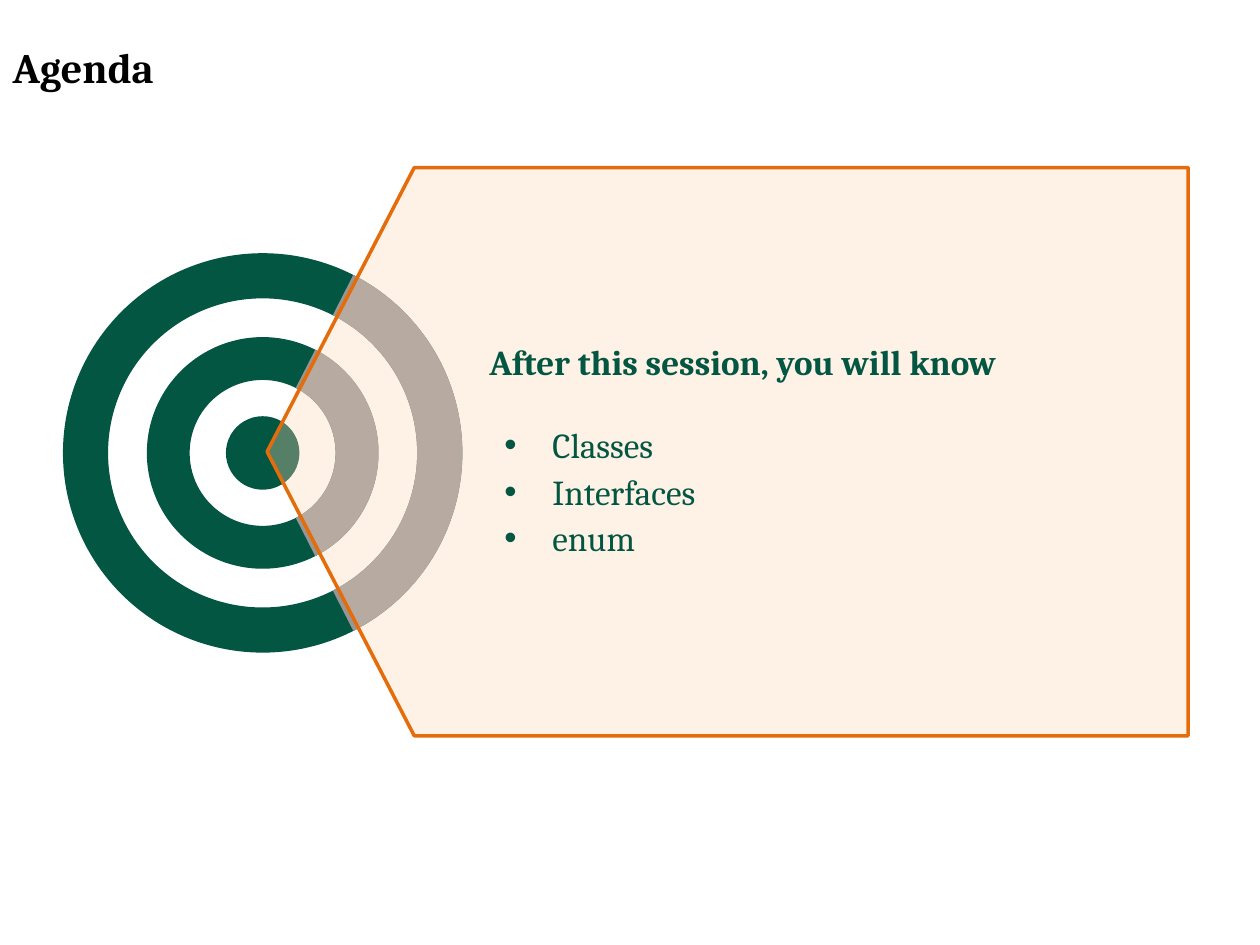
from lxml.etree import SubElement
from pptx import Presentation
from pptx.dml.color import RGBColor
from pptx.enum.shapes import MSO_SHAPE
from pptx.enum.text import MSO_ANCHOR, PP_ALIGN
from pptx.oxml.ns import qn
from pptx.util import Inches, Pt

COLORS = {"green": "035642", "gray": "969696", "peach": "FCD5B5",
          "orange": "E46C0A", "black": "000000"}
FONT = "Cambria"
WIDTH, HEIGHT = 10, 7.5
SECTOR = 63


def color(name):
    return RGBColor.from_string(COLORS[name])


def format_runs(p, size, name, bold):
    for r in p.runs:
        r.font.name, r.font.size, r.font.bold = FONT, Pt(size), bold
        r.font.color.rgb = color(name)


def add_filled(s, kind, box, fill, adjustments=()):
    sp = s.shapes.add_shape(kind, *map(Inches, box))
    sp.shadow.inherit = False
    sp.fill.solid()
    sp.fill.fore_color.rgb = color(fill)
    sp.line.fill.background()
    for i, value in enumerate(adjustments):
        sp.adjustments[i] = value
    return sp


def add_title(s, text, box):
    sp = s.shapes.title
    sp.left, sp.top, sp.width, sp.height = map(Inches, box)
    tf = sp.text_frame
    tf.text = text
    tf.vertical_anchor = MSO_ANCHOR.MIDDLE
    p = tf.paragraphs[0]
    p.alignment = PP_ALIGN.LEFT
    format_runs(p, 24, "black", True)


def add_target(s, box):
    left, top, size = box

    def centered(share):
        d = size * share
        return left + (size - d) / 2, top + (size - d) / 2, d, d

    add_filled(s, MSO_SHAPE.OVAL, centered(0.184), "green")
    for share, band in ((0.58, 0.185), (1, 0.113)):
        add_filled(s, MSO_SHAPE.DONUT, centered(share), "green", [band])
        add_filled(s, MSO_SHAPE.BLOCK_ARC, centered(share), "gray",
                   [(360 - SECTOR) * 0.6, SECTOR * 0.6, band])


def add_bullet(p):
    pPr = p._p.get_or_add_pPr()
    pPr.set("marL", str(Inches(0.5)))
    pPr.set("indent", str(Inches(-0.38)))
    SubElement(pPr, qn("a:buFont"), typeface="Arial")
    SubElement(pPr, qn("a:buChar"), char="•")


def add_panel(s, box, heading, items):
    sp = add_filled(s, MSO_SHAPE.PENTAGON, box, "peach", [0.259])
    sp._element.spPr.find(qn("a:xfrm")).set("flipH", "1")
    fill = sp._element.spPr.find(qn("a:solidFill"))
    SubElement(fill[0], qn("a:alpha"), val="33000")
    sp.line.color.rgb = color("orange")
    sp.line.width = Pt(2)
    tf = sp.text_frame
    tf.word_wrap = True
    tf.vertical_anchor = MSO_ANCHOR.MIDDLE
    tf.margin_left, tf.margin_right = Inches(1.18), Inches(0.08)
    tf.margin_top = tf.margin_bottom = 0
    tf.text = "\n".join([heading, *items])
    for i, p in enumerate(tf.paragraphs):
        p.alignment = PP_ALIGN.LEFT
        p.line_spacing = 1.1 if i else 0.9
        p.space_after = Pt(0 if i else 21)
        if i:
            add_bullet(p)
        format_runs(p, 20, "green", i == 0)


prs = Presentation()
prs.slide_width, prs.slide_height = Inches(WIDTH), Inches(HEIGHT)
s = prs.slides.add_slide(prs.slide_layouts[5])
add_title(s, "Agenda", (0, 0.22, 7.59, 0.62))
add_target(s, (0.5, 2.01, 3.17))
add_panel(s, (2.12, 1.33, 7.31, 4.51), "After this session, you will know",
          ["Classes", "Interfaces", "enum"])
prs.save("out.pptx")
